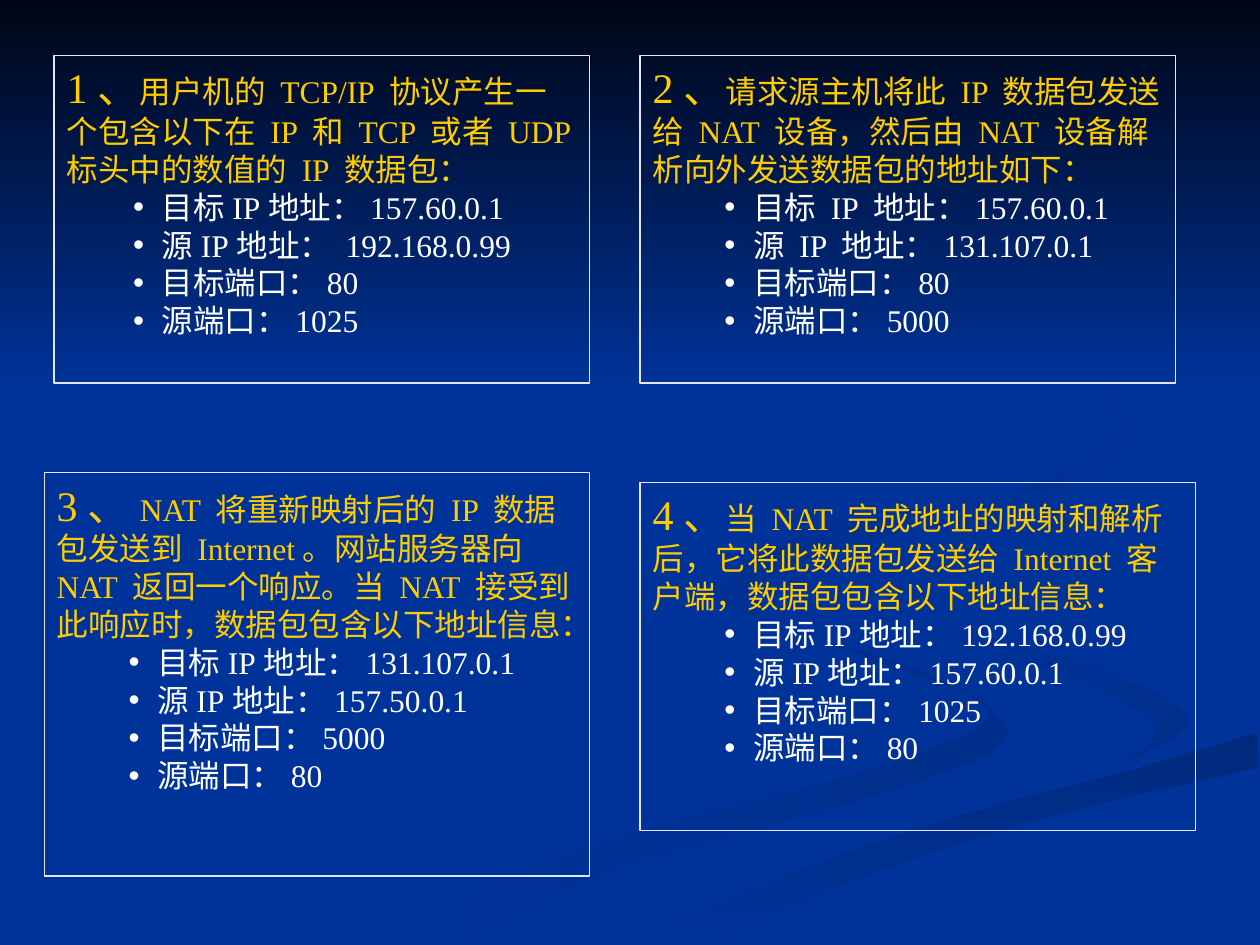
from dataclasses import dataclass

from lxml import etree
from pptx import Presentation
from pptx.dml.color import RGBColor
from pptx.enum.lang import MSO_LANGUAGE_ID
from pptx.enum.shapes import MSO_SHAPE
from pptx.enum.text import MSO_ANCHOR, MSO_AUTO_SIZE, PP_ALIGN
from pptx.oxml.ns import qn
from pptx.util import Cm, Pt

RECTANGLE = MSO_SHAPE.RECTANGLE
TOP = MSO_ANCHOR.TOP
NO_AUTO_SIZE = MSO_AUTO_SIZE.NONE
LEFT = PP_ALIGN.LEFT
CHINESE = MSO_LANGUAGE_ID.SIMPLIFIED_CHINESE
COMPARISON_LAYOUT = 4
SWOOSH_UNIT = Cm(0.0254)
CURVE_STEPS = 5

COLORS = {
    "background": "003399",
    "shade": "002E8B",
    "dark shade": "002A7D",
    "night": "000514",
    "outline": "E5E5FF",
    "heading": "FFCC00",
    "detail": "FFFFFF",
}


@dataclass
class Panel:
    left: float
    top: float
    width: float
    height: float
    heading: str
    details: list[str]
    indent: float = 2.03


@dataclass
class Swoosh:
    """A background ribbon between two edges, in hundredths of an inch."""
    start_color: str
    end_color: str
    angle: int
    outer_edge: list[tuple[int, int]]
    inner_edge: list[tuple[int, int]]


PANELS = [
    Panel(1.09, 1.12, 10.8, 6.6,
          "用户机的 TCP/IP 协议产生一个包含以下在 IP 和 TCP 或者 UDP 标头中的数值的 IP 数据包：",
          ["目标IP地址：157.60.0.1", "源IP地址： 192.168.0.99", "目标端口：80", "源端口：1025"],
          indent=1.92),
    Panel(12.9, 1.12, 10.8, 6.6,
          "请求源主机将此 IP 数据包发送给 NAT 设备，然后由 NAT 设备解析向外发送数据包的地址如下：",
          ["目标 IP 地址：157.60.0.1", "源 IP 地址：131.107.0.1", "目标端口：80", "源端口：5000"]),
    Panel(0.89, 9.53, 11, 8.13,
          "NAT 将重新映射后的 IP 数据包发送到 Internet。网站服务器向 NAT 返回一个响应。"
          "当 NAT 接受到此响应时，数据包包含以下地址信息：",
          ["目标IP地址：131.107.0.1", "源IP地址：157.50.0.1", "目标端口：5000", "源端口：80"]),
    Panel(12.9, 9.73, 11.2, 7.01,
          "当 NAT 完成地址的映射和解析后，它将此数据包发送给 Internet 客户端，数据包包含以下地址信息：",
          ["目标IP地址：192.168.0.99", "源IP地址：157.60.0.1", "目标端口：1025", "源端口：80"]),
]

SWOOSHES = [
    Swoosh("background", "shade", 0,
           [(575, 459), (614, 496), (731, 533), (800, 581), (721, 623), (499, 687), (361, 749)],
           [(300, 749), (458, 674), (684, 613), (786, 566), (697, 525), (581, 483), (575, 459)]),
    Swoosh("background", "shade", 45,
           [(724, 464), (758, 498), (870, 530), (943, 570), (894, 605)],
           [(894, 605), (917, 576), (854, 539), (755, 505), (724, 464)]),
    Swoosh("dark shade", "background", 90,
           [(503, 749), (630, 693), (764, 647), (903, 610), (998, 581)],
           [(998, 609), (821, 651), (695, 692), (614, 726), (571, 749)]),
    Swoosh("shade", "background", 45,
           [(762, 233), (854, 283), (894, 344), (841, 396), (683, 430), (593, 470), (622, 500)],
           [(622, 500), (577, 462), (649, 420), (818, 386), (889, 335), (846, 279), (762, 233)]),
]


def smooth_edge(edge: list[tuple[int, int]]) -> list[tuple[float, float]]:
    """Run a Catmull-Rom curve through the points of an edge."""
    padded = [edge[0], *edge, edge[-1]]
    curve = []
    for before, start, end, after in zip(padded, padded[1:], padded[2:], padded[3:]):
        for step in range(CURVE_STEPS):
            t = step / CURVE_STEPS
            curve.append(tuple(
                b + t * (c - a + t * (2 * a - 5 * b + 4 * c - d + t * (3 * b - a - 3 * c + d))) / 2
                - t * 0
                for a, b, c, d in zip(before, start, end, after)))
    return [*curve, edge[-1]]


def fill_gradient(shape, start_color: str, end_color: str, angle: int) -> None:
    """Fill a borderless shape; the angle runs clockwise."""
    shape.shadow.inherit = False
    shape.line.fill.background()
    shape.fill.gradient()
    shape.fill.gradient_angle = (360 - angle) % 360
    for stop, color in zip(shape.fill.gradient_stops, (start_color, end_color)):
        stop.color.rgb = RGBColor.from_string(COLORS[color])


def draw_swoosh(slide, swoosh: Swoosh) -> None:
    points = smooth_edge(swoosh.outer_edge) + smooth_edge(swoosh.inner_edge)
    builder = slide.shapes.build_freeform(*points[0], scale=SWOOSH_UNIT)
    builder.add_line_segments(points[1:], close=True)
    shape = builder.convert_to_shape()
    fill_gradient(shape, swoosh.start_color, swoosh.end_color, swoosh.angle)


def add_text(paragraph, text: str, *, size: float, color: str) -> None:
    run = paragraph.add_run()
    run.text = text
    run.font.name = "Times New Roman"
    run.font.size = Pt(size)
    run.font.bold = False
    run.font.language_id = CHINESE
    run.font.color.rgb = RGBColor.from_string(COLORS[color])


def format_paragraph(paragraph, indent: float = 0, hanging: float = 0, bullet: str = "") -> None:
    paragraph.alignment = LEFT
    paragraph.space_before = Pt(0)
    properties = paragraph._p.get_or_add_pPr()
    properties.set("marL", str(Cm(indent)))
    properties.set("indent", str(-Cm(hanging)))
    if bullet:
        etree.SubElement(properties, qn("a:buFont"), typeface="Arial")
        etree.SubElement(properties, qn("a:buChar"), char=bullet)
    else:
        etree.SubElement(properties, qn("a:buNone"))


def draw_panel(slide, placeholder, number: int, panel: Panel) -> None:
    slide.shapes.element.append(placeholder.element)  # in front of the background
    placeholder.left, placeholder.top = Cm(panel.left), Cm(panel.top)
    placeholder.width, placeholder.height = Cm(panel.width), Cm(panel.height)
    placeholder.line.color.rgb = RGBColor.from_string(COLORS["outline"])
    placeholder.line.width = Pt(0.75)
    frame = placeholder.text_frame
    frame.word_wrap = True
    frame.auto_size = NO_AUTO_SIZE
    frame.vertical_anchor = TOP

    heading = frame.paragraphs[0]
    format_paragraph(heading)
    add_text(heading, f"{number}、", size=24, color="heading")
    add_text(heading, panel.heading, size=18, color="heading")
    for detail in panel.details:
        paragraph = frame.add_paragraph()
        format_paragraph(paragraph, panel.indent, hanging=0.58, bullet="•")
        add_text(paragraph, detail, size=18, color="detail")


def main() -> None:
    presentation = Presentation()
    presentation.slide_width, presentation.slide_height = Cm(25.4), Cm(19.05)
    slide = presentation.slides.add_slide(presentation.slide_layouts[COMPARISON_LAYOUT])
    slide.background.fill.solid()
    slide.background.fill.fore_color.rgb = RGBColor.from_string(COLORS["background"])
    title = slide.shapes.title.element
    title.getparent().remove(title)

    for swoosh in SWOOSHES:
        draw_swoosh(slide, swoosh)
    sky = slide.shapes.add_shape(RECTANGLE, 0, 0, presentation.slide_width, Cm(7.82))
    fill_gradient(sky, "night", "background", 90)

    for number, (placeholder, panel) in enumerate(zip(list(slide.placeholders), PANELS), start=1):
        draw_panel(slide, placeholder, number, panel)
    presentation.save("out.pptx")


if __name__ == "__main__":
    main()
